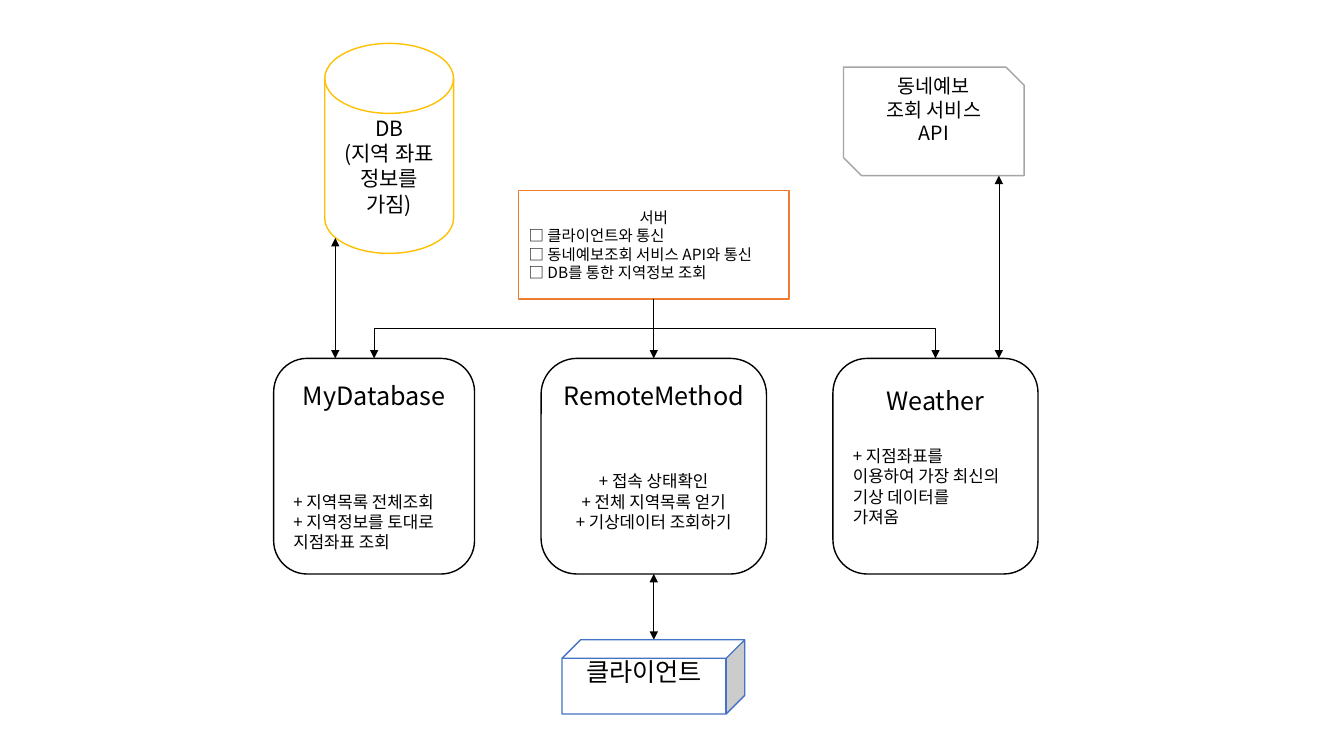
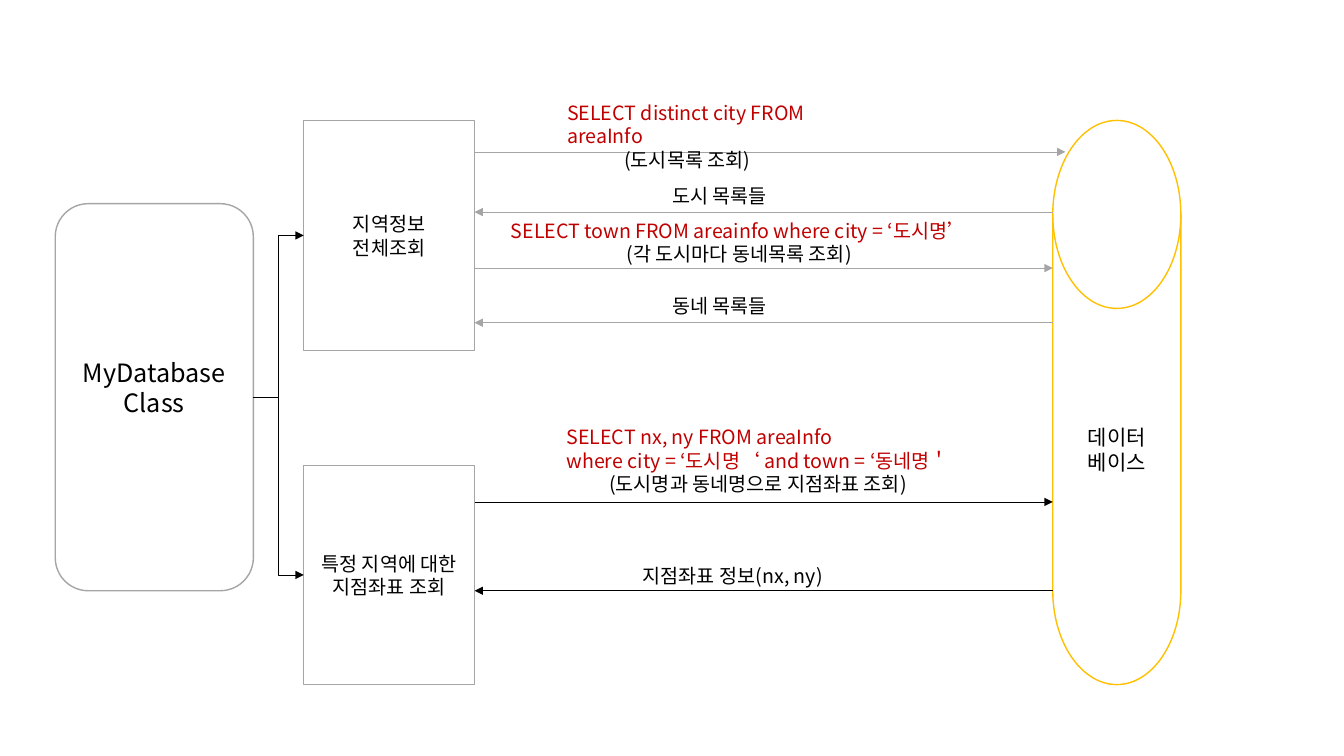
from dataclasses import dataclass

from lxml.etree import SubElement
from pptx import Presentation
from pptx.dml.color import RGBColor
from pptx.enum.shapes import MSO_CONNECTOR, MSO_SHAPE
from pptx.enum.text import MSO_ANCHOR, PP_ALIGN
from pptx.oxml.ns import qn
from pptx.util import Pt

FONT = "Noto Sans CJK KR"
LINE_HEIGHT = 1.2
INSET = 3.6

WHITE = RGBColor(0xFF, 0xFF, 0xFF)
BLACK = RGBColor(0x00, 0x00, 0x00)
GRAY = RGBColor(0xA5, 0xA5, 0xA5)
ORANGE = RGBColor(0xED, 0x7D, 0x31)
GOLD = RGBColor(0xFF, 0xC0, 0x00)
BLUE = RGBColor(0x44, 0x72, 0xC4)
RED = RGBColor(0xC0, 0x00, 0x00)

TOP, LEFT, BOTTOM, RIGHT = range(4)


@dataclass(frozen=True)
class Line:
    text: str
    size: float = 14
    color: RGBColor = BLACK
    centred: bool = True
    gap: float = 0


@dataclass(frozen=True)
class Node:
    kind: MSO_SHAPE
    left: float
    top: float
    width: float
    height: float
    outline: RGBColor
    lines: tuple[Line, ...]
    space_below: float = 0


@dataclass(frozen=True)
class Arrow:
    start: tuple[float, float]
    end: tuple[float, float]
    color: RGBColor = BLACK
    both: bool = False


@dataclass(frozen=True)
class Label:
    left: float
    top: float
    width: float
    height: float
    lines: tuple[Line, ...]


def lines_of(*texts: str, size: float = 14, centred: bool = True, gap: float = 0) -> tuple[Line, ...]:
    """Lines of one style; the gap stands before the first."""
    return tuple(
        Line(text, size, centred=centred, gap=0 if index else gap)
        for index, text in enumerate(texts)
    )


def write(frame, lines: tuple[Line, ...]) -> None:
    frame.word_wrap = True
    for index, line in enumerate(lines):
        para = frame.add_paragraph() if index else frame.paragraphs[0]
        para.text = line.text
        para.alignment = PP_ALIGN.CENTER if line.centred else PP_ALIGN.LEFT
        para.line_spacing = Pt(line.size * LINE_HEIGHT)
        para.space_before = Pt(line.gap)
        for span in para.runs:
            span.font.name = FONT
            span.font.size = Pt(line.size)
            span.font.color.rgb = line.color
            SubElement(span.font._element, qn("a:ea"), typeface=FONT)


def add_node(page, node: Node):
    shape = page.shapes.add_shape(
        node.kind, Pt(node.left), Pt(node.top), Pt(node.width), Pt(node.height)
    )
    shape.shadow.inherit = False
    shape.fill.solid()
    shape.fill.fore_color.rgb = WHITE
    shape.line.color.rgb = node.outline
    shape.line.width = Pt(1)
    frame = shape.text_frame
    frame.vertical_anchor = MSO_ANCHOR.MIDDLE
    frame.margin_bottom = Pt(INSET + node.space_below)
    write(frame, node.lines)
    return shape


def add_label(page, label: Label) -> None:
    box = page.shapes.add_textbox(
        Pt(label.left), Pt(label.top), Pt(label.width), Pt(label.height)
    )
    write(box.text_frame, label.lines)


def style_connector(connector, color: RGBColor = BLACK, both: bool = False) -> None:
    connector.line.color.rgb = color
    connector.line.width = Pt(0.5)
    outline = connector.line._get_or_add_ln()
    if both:
        SubElement(outline, qn("a:headEnd"), type="triangle")
    SubElement(outline, qn("a:tailEnd"), type="triangle")
    SubElement(connector._element.spPr, qn("a:effectLst"))


def add_arrow(page, arrow: Arrow):
    ends = [Pt(value) for value in (*arrow.start, *arrow.end)]
    connector = page.shapes.add_connector(MSO_CONNECTOR.STRAIGHT, *ends)
    style_connector(connector, arrow.color, arrow.both)
    return connector


def join(page, source, source_side: int, target, target_side: int, kind=MSO_CONNECTOR.ELBOW):
    connector = page.shapes.add_connector(kind, 0, 0, 0, 0)
    connector.begin_connect(source, source_side)
    connector.end_connect(target, target_side)
    style_connector(connector)
    return connector


def turn_downward(connector) -> None:
    """Make an elbow leave its start vertically by a quarter turn of its frame."""
    start_x, start_y = connector.begin_x, connector.begin_y
    across, down = connector.end_x - start_x, connector.end_y - start_y
    frame = connector._element.spPr.find(qn("a:xfrm"))
    for name in ("flipH", "flipV"):
        frame.attrib.pop(name, None)
    connector.width, connector.height = down, abs(across)
    connector.left = start_x + (across - down) // 2
    connector.top = start_y + (down - abs(across)) // 2
    if across < 0:
        frame.set("rot", "5400000")
    else:
        frame.set("rot", "16200000")
        frame.set("flipH", "1")


def build_overview(page) -> None:
    row_top, row_height = 256, 154
    row_bottom = row_top + row_height
    server = add_node(page, Node(
        MSO_SHAPE.RECTANGLE, 370.5, 136, 193, 77.5, ORANGE,
        (
            *lines_of("서버", size=11),
            *lines_of(
                "□ 클라이언트와 통신",
                "□ 동네예보조회 서비스 API와 통신",
                "□ DB를 통한 지역정보 조회",
                size=11, centred=False,
            ),
        ),
    ))
    add_node(page, Node(
        MSO_SHAPE.SNIP_2_DIAG_RECTANGLE, 602.5, 48, 129, 77.5, GRAY,
        lines_of("동네예보", "조회 서비스", "API"), space_below=16.8,
    ))
    add_node(page, Node(
        MSO_SHAPE.FLOWCHART_MAGNETIC_DISK, 232, 31, 92, 150, GOLD,
        lines_of("DB", "(지역 좌표", "정보를", "가짐)", size=15),
    ))
    classes = (
        Node(
            MSO_SHAPE.ROUNDED_RECTANGLE, 195.5, row_top, 143.5, row_height, BLACK,
            (
                Line("MyDatabase", 18),
                *lines_of("+ 지역목록 전체조회", "+ 지역정보를 토대로 지점좌표 조회",
                          size=12, centred=False, gap=57.6),
            ),
        ),
        Node(
            MSO_SHAPE.ROUNDED_RECTANGLE, 386.5, row_top, 161, row_height, BLACK,
            (
                Line("RemoteMethod", 18),
                *lines_of("+ 접속 상태확인", "+ 전체 지역목록 얻기", "+ 기상데이터 조회하기",
                          size=12, gap=43.2),
            ),
            space_below=14.4,
        ),
        Node(
            MSO_SHAPE.ROUNDED_RECTANGLE, 595, row_top, 146.5, row_height, BLACK,
            (
                Line("Weather", 18),
                *lines_of("+ 지점좌표를", "이용하여 가장 최신의 기상 데이터를", "가져옴",
                          size=12, centred=False, gap=21.6),
            ),
            space_below=14.4,
        ),
    )
    database, remote, weather = [add_node(page, node) for node in classes]
    for target in (database, weather):
        turn_downward(join(page, server, BOTTOM, target, TOP))
    join(page, server, BOTTOM, remote, TOP, MSO_CONNECTOR.STRAIGHT)
    add_arrow(page, Arrow((239.5, row_top), (239.5, 170), both=True))
    add_arrow(page, Arrow((713.5, row_top), (713.5, 125.5), both=True))
    client_arrow = add_arrow(page, Arrow((467, row_bottom), (467, 457), both=True))
    client_arrow.begin_connect(remote, BOTTOM)
    add_node(page, Node(
        MSO_SHAPE.CUBE, 401.5, 457, 130.5, 53, BLUE,
        lines_of("클라이언트", size=18), space_below=21.6,
    ))


def build_database_class(page) -> None:
    query_left, query_width, disk_left = 217, 122, 752
    query_right = query_left + query_width
    database = add_node(page, Node(
        MSO_SHAPE.ROUNDED_RECTANGLE, 39.5, 145.5, 141.5, 276.5, GRAY,
        lines_of("MyDatabase", "Class", size=18), space_below=14.4,
    ))
    queries = (
        Node(MSO_SHAPE.RECTANGLE, query_left, 86, query_width, 164.5, GRAY,
             lines_of("지역정보", "전체조회")),
        Node(MSO_SHAPE.RECTANGLE, query_left, 332.5, query_width, 156.5, GRAY,
             lines_of("특정 지역에 대한 지점좌표 조회")),
    )
    for node in queries:
        join(page, database, RIGHT, add_node(page, node), LEFT)
    add_node(page, Node(
        MSO_SHAPE.FLOWCHART_MAGNETIC_DISK, disk_left, 86, 91.5, 403, GOLD,
        lines_of("데이터", "베이스", size=15),
    ))

    arrows = (
        Arrow((query_right, 108.5), (761, 108.5), GRAY),
        Arrow((disk_left, 151.5), (query_right, 151.5), GRAY),
        Arrow((query_right, 191.5), (disk_left, 191.5), GRAY),
        Arrow((disk_left, 230.5), (query_right, 230.5), GRAY),
        Arrow((query_right, 358.5), (disk_left, 358.5)),
        Arrow((disk_left, 422), (query_right, 422)),
    )
    for arrow in arrows:
        add_arrow(page, arrow)

    labels = (
        Label(398, 68.5, 186, 58, (
            Line("SELECT distinct city FROM areaInfo", color=RED, centred=False),
            Line("(도시목록 조회)"),
        )),
        Label(473, 127.5, 94, 24, lines_of("도시 목록들", centred=False)),
        Label(353, 152.5, 350, 41, (
            Line("SELECT town FROM areainfo where city = ‘도시명’", color=RED),
            Line("(각 도시마다 동네목록 조회)"),
        )),
        Label(473, 206.5, 94, 24, lines_of("동네 목록들", centred=False)),
        Label(397.5, 300, 345, 41, (
            Line("SELECT nx, ny FROM areaInfo", color=RED, centred=False),
            Line("where city = ‘도시명‘ and town = ‘동네명＇", color=RED, centred=False),
        )),
        Label(411.5, 333.5, 260, 24, lines_of("(도시명과 동네명으로 지점좌표 조회)")),
        Label(452, 399, 158, 24, lines_of("지점좌표 정보(nx, ny)", centred=False)),
    )
    for label in labels:
        add_label(page, label)


def main() -> None:
    deck = Presentation()
    deck.slide_width, deck.slide_height = Pt(960), Pt(540)
    blank = deck.slide_layouts[6]
    for build in (build_overview, build_database_class):
        build(deck.slides.add_slide(blank))
    deck.save("out.pptx")


if __name__ == "__main__":
    main()
